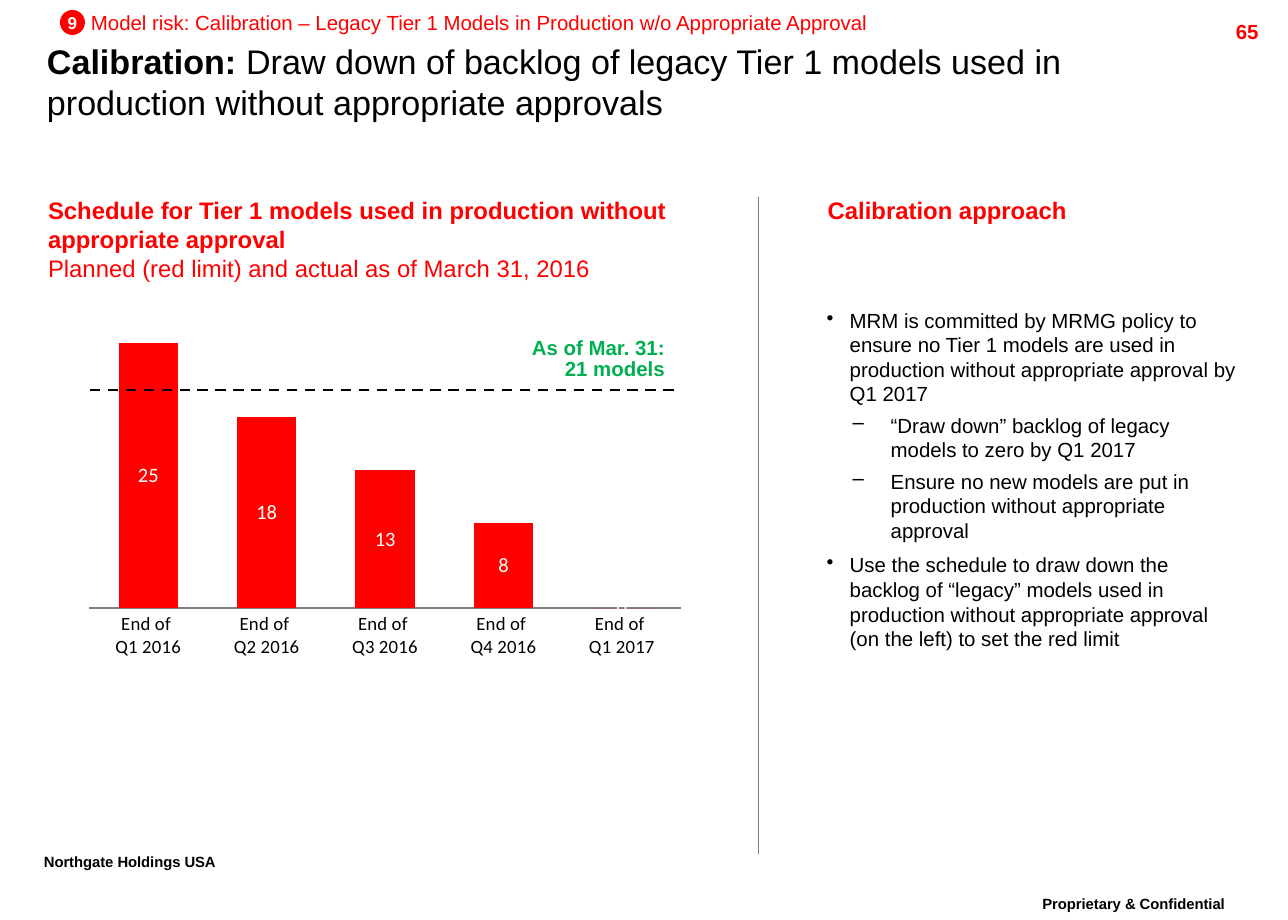
from lxml import etree
from pptx import Presentation
from pptx.chart.data import CategoryChartData
from pptx.dml.color import RGBColor
from pptx.enum.chart import XL_CHART_TYPE, XL_LABEL_POSITION, XL_TICK_MARK
from pptx.enum.dml import MSO_LINE
from pptx.enum.shapes import MSO_CONNECTOR, MSO_SHAPE
from pptx.enum.text import MSO_ANCHOR, PP_ALIGN
from pptx.oxml import parse_xml
from pptx.oxml.ns import nsdecls, qn
from pptx.util import Inches, Pt

LEFT, CENTER, RIGHT = PP_ALIGN.LEFT, PP_ALIGN.CENTER, PP_ALIGN.RIGHT
TOP, MIDDLE = MSO_ANCHOR.TOP, MSO_ANCHOR.MIDDLE
DASH = MSO_LINE.DASH
PX = 7452  # EMU per px
RED, BLACK, WHITE, GREY, GREEN = "FF0000", "000000", "FFFFFF", "7F7F7F", "00B050"

SECTION = "Model risk: Calibration – Legacy Tier 1 Models in Production w/o Appropriate Approval"
TITLE = [("Calibration: ", True),
         ("Draw down of backlog of legacy Tier 1 models used in production "
          "without appropriate approvals", False)]
SCHEDULE = [[("Schedule for Tier 1 models used in production without appropriate approval", True)],
            [("Planned (red limit) and actual as of March 31, 2016", False)]]
BACKLOG = {"End of \nQ1 2016": 25, "End of \nQ2 2016": 18, "End of \nQ3 2016": 13,
           "End of \nQ4 2016": 8, "End of \nQ1 2017": 0}
ACTUAL = ["As of Mar. 31:", "21 models"]
APPROACH = [
    (0, "MRM is committed by MRMG policy to ensure no Tier 1 models are used in "
        "production without appropriate approval by Q1 2017"),
    (1, "“Draw down” backlog of legacy models to zero by Q1 2017"),
    (1, "Ensure no new models are put in production without appropriate approval"),
    (0, "Use the schedule to draw down the backlog of “legacy” models used in production "
        "without appropriate approval (on the left) to set the red limit"),
]
# Per level: bullet, text indent px, hanging px, space before pt
LEVELS = [("•", 23, 23, 6), ("–", 64, 38, 4)]
PLOT = {"x": 0.054, "y": 0, "w": 0.796, "h": 0.827}

prs = Presentation()
prs.slide_width, prs.slide_height = Inches(10.5), Inches(7.5)
slide = prs.slides.add_slide(prs.slide_layouts[6])


def rgb(value):
    return RGBColor.from_string(value)


def box(*lengths):
    return [length * PX for length in lengths]


def style(font, size, color, bold=False, name="Arial"):
    font.size, font.bold, font.name = Pt(size), bold, name
    font.color.rgb = rgb(color)


def write(frame, paragraphs, size=12, color=BLACK, bold=False, align=LEFT, anchor=TOP,
          inset=(0, 0), spacing=None, raised=False):
    """Fill a frame; each paragraph is a string or a list of (text, bold) runs."""
    frame.word_wrap = True
    frame.vertical_anchor = anchor
    frame.margin_left = frame.margin_right = inset[0] * PX
    frame.margin_top = frame.margin_bottom = inset[1] * PX
    for i, runs in enumerate(paragraphs):
        paragraph = frame.add_paragraph() if i else frame.paragraphs[0]
        paragraph.alignment = align
        if spacing:
            paragraph.line_spacing = spacing
        for words, heavy in [(runs, bold)] if isinstance(runs, str) else runs:
            run = paragraph.add_run()
            run.text = words
            style(run.font, size, color, heavy)
            if raised:
                run._r.get_or_add_rPr().set("baseline", "30000")
    return frame


def text(place, paragraphs, **form):
    return write(slide.shapes.add_textbox(*box(*place)).text_frame, paragraphs, **form)


def rule(ends, color, width, dash=None):
    line = slide.shapes.add_connector(MSO_CONNECTOR.STRAIGHT, *box(*ends))
    line.line.color.rgb, line.line.width = rgb(color), Pt(width)
    if dash:
        line.line.dash_style = dash
    etree.SubElement(line._element.spPr, qn("a:effectLst"))


def set_bullets(frame, levels):
    for i, (paragraph, level) in enumerate(zip(frame.paragraphs, levels)):
        mark, indent, hang, before = LEVELS[level]
        paragraph.level = level
        if i:
            paragraph.space_before = Pt(before)
        props = paragraph._p.get_or_add_pPr()
        props.set("marL", str(indent * PX))
        props.set("indent", str(-hang * PX))
        etree.SubElement(props, qn("a:buChar")).set("char", mark)


def backlog_chart(place):
    data = CategoryChartData()
    data.categories = list(BACKLOG)
    data.add_series("Series 1", list(BACKLOG.values()))
    chart = slide.shapes.add_chart(XL_CHART_TYPE.COLUMN_STACKED, *box(*place), data).chart
    chart.has_legend = chart.has_title = False
    style(chart.font, 11, BLACK, name="Calibri")

    values = chart.value_axis
    values.minimum_scale, values.maximum_scale = 0, 30
    values.has_major_gridlines = values.visible = False
    quarters = chart.category_axis
    quarters.major_tick_mark = XL_TICK_MARK.NONE
    quarters.format.line.color.rgb = rgb(GREY)
    quarters.format.line.width = Pt(0.75)

    plot = chart.plots[0]
    plot.gap_width, plot.overlap, plot.vary_by_categories = 99, 100, False
    fill = plot.series[0].format.fill
    fill.solid()
    fill.fore_color.rgb = rgb(RED)
    plot.has_data_labels = True
    labels = plot.data_labels
    labels.show_value, labels.position = True, XL_LABEL_POSITION.CENTER
    style(labels.font, 12, WHITE, name="Calibri")

    area = chart._chartSpace.chart.plotArea
    for old in area.findall(qn("c:layout")):
        area.remove(old)
    modes = '<c:layoutTarget val="inner"/><c:xMode val="edge"/><c:yMode val="edge"/>'
    sizes = "".join(f'<c:{key} val="{share}"/>' for key, share in PLOT.items())
    area.insert(0, parse_xml(f'<c:layout {nsdecls("c")}><c:manualLayout>{modes}{sizes}'
                             '</c:manualLayout></c:layout>'))


# Header and footer
footer = {"size": 15, "bold": True, "inset": (12, 6), "spacing": 0.86, "raised": True}
text((1000, 890, 268, 43), ["Proprietary & Confidential"], align=CENTER, **footer)
text((32, 848, 234, 43), ["Northgate Holdings USA"], **footer)
text((1148, 13, 123, 29), ["65"], color=RED, bold=True, align=RIGHT, inset=(12, 6))
badge = slide.shapes.add_shape(MSO_SHAPE.OVAL, *box(60, 10, 25, 25))
badge.shadow.inherit = False
badge.fill.solid()
badge.fill.fore_color.rgb = rgb(RED)
badge.line.fill.background()
write(badge.text_frame, ["9"], size=10, color=WHITE, bold=True, align=CENTER, anchor=MIDDLE)
text((91, 10, 900, 25), [SECTION], color=RED)
text((47, 52, 1163, 59), [TITLE], size=20, anchor=MIDDLE)

# Schedule
text((48, 196, 644, 63), SCHEDULE, size=14, color=RED)
backlog_chart((49, 290, 744, 385))
rule((90, 390, 674, 390), BLACK, 1.5, DASH)
text((478, 333, 199, 55), ACTUAL, color=GREEN, bold=True, align=RIGHT,
     inset=(12, 6), spacing=0.86)

# Approach
rule((759, 197, 759, 854), GREY, 0.75)
text((828, 196, 400, 29), ["Calibration approach"], size=14, color=RED, bold=True)
approach = text((827, 308, 414, 546), [words for _, words in APPROACH])
set_bullets(approach, [level for level, _ in APPROACH])

prs.save("out.pptx")
